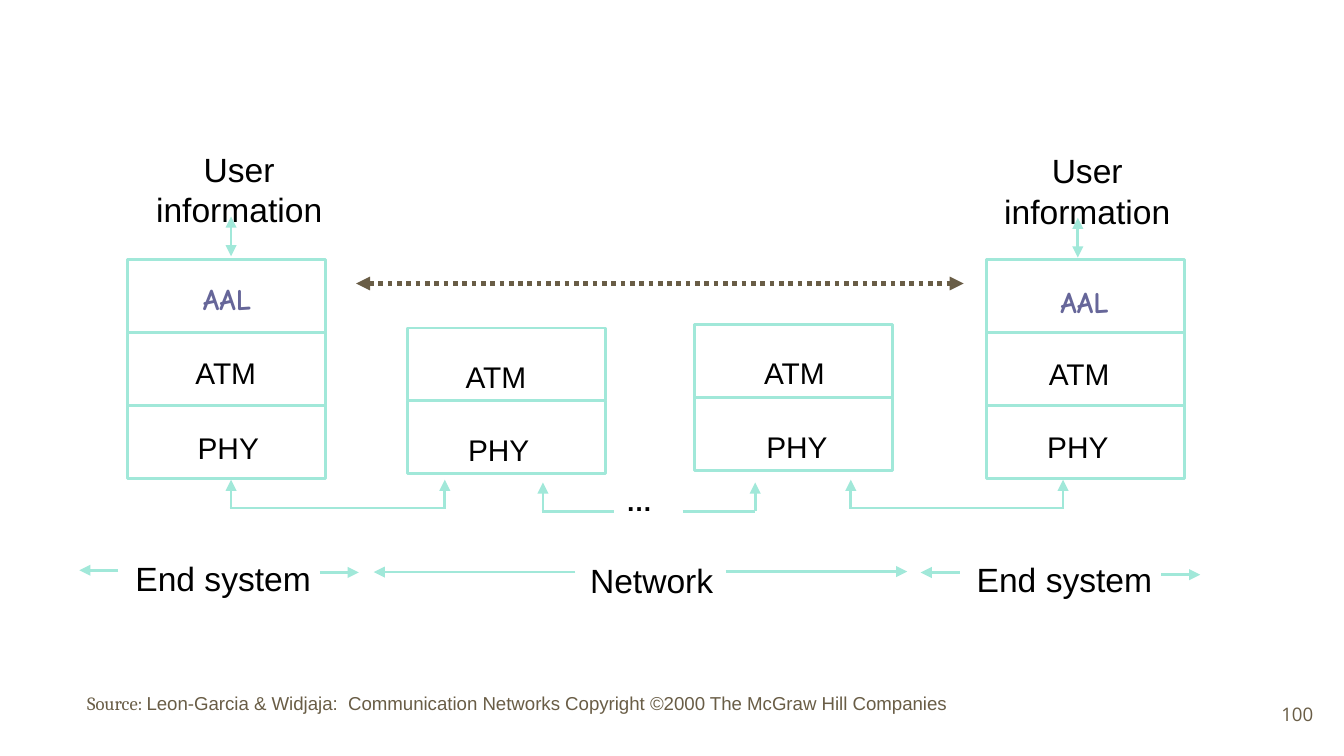
from pptx import Presentation
from pptx.dml.color import RGBColor
from pptx.enum.dml import MSO_LINE
from pptx.enum.shapes import MSO_CONNECTOR, MSO_SHAPE
from pptx.enum.text import MSO_ANCHOR, PP_ALIGN
from pptx.oxml.ns import qn
from pptx.util import Pt
from lxml import etree

STRAIGHT = MSO_CONNECTOR.STRAIGHT
RECTANGLE = MSO_SHAPE.RECTANGLE
DOTTED = MSO_LINE.ROUND_DOT
LEFT, CENTER, RIGHT = PP_ALIGN.LEFT, PP_ALIGN.CENTER, PP_ALIGN.RIGHT
TOP, MIDDLE = MSO_ANCHOR.TOP, MSO_ANCHOR.MIDDLE

MINT = RGBColor(0xA1, 0xE8, 0xD9)
BROWN = RGBColor(0x69, 0x5D, 0x46)
PURPLE = RGBColor(0x66, 0x66, 0x99)
BLACK = RGBColor(0, 0, 0)

prs = Presentation()
prs.slide_width, prs.slide_height = Pt(720), Pt(405)
slide = prs.slides.add_slide(prs.slide_layouts[6])


def add_text(text, left, top, width, height, size=18, font="Arial", color=BLACK,
             bold=False, align=CENTER, anchor=TOP, wrap=True):
    box = slide.shapes.add_textbox(Pt(left), Pt(top), Pt(width), Pt(height))
    frame = box.text_frame
    frame.word_wrap = wrap
    frame.vertical_anchor = anchor
    paragraph = frame.paragraphs[0]
    paragraph.alignment = align
    run = paragraph.add_run()
    run.text = text
    run.font.size = Pt(size)
    run.font.name = font
    run.font.bold = bold
    run.font.color.rgb = color
    return paragraph


def add_line(x1, y1, x2, y2, color=MINT, width=1.5, ends=(), dash=None):
    connector = slide.shapes.add_connector(STRAIGHT, Pt(x1), Pt(y1), Pt(x2), Pt(y2))
    connector.line.color.rgb = color
    connector.line.width = Pt(width)
    if dash:
        connector.line.dash_style = dash
    for end in ends:
        etree.SubElement(connector.line._ln, qn(f"a:{end}"), type="triangle")
    etree.SubElement(connector._element.spPr, qn("a:effectLst"))


TO_END = ("tailEnd",)
BOTH_ENDS = ("headEnd", "tailEnd")

LAYER_WIDTH, LAYER_HEIGHT = 106, 39.1
protocol_stacks = [
    (68.4, 139, [("AAL", 97.9, 146.9), ("ATM", 97.2, 186.5), ("PHY", 98.6, 226.8)]),
    (218.2, 175.7, [("ATM", 241.9, 188.6), ("PHY", 243.4, 227.5)]),
    (372.2, 173.7, [("ATM", 401.8, 186.5), ("PHY", 403.2, 226.1)]),
    (528.5, 139, [("AAL", 557.3, 148.3), ("ATM", 554.4, 187.2), ("PHY", 553.7, 226.1)]),
]
for stack_left, stack_top, layers in protocol_stacks:
    for row, (layer, label_left, label_top) in enumerate(layers):
        cell = slide.shapes.add_shape(
            RECTANGLE, Pt(stack_left), Pt(stack_top + row * LAYER_HEIGHT),
            Pt(LAYER_WIDTH), Pt(LAYER_HEIGHT))
        cell.shadow.inherit = False
        cell.fill.background()
        cell.line.color.rgb = MINT
        cell.line.width = Pt(1.5)
        adaptation = layer == "AAL"
        add_text(layer, label_left, label_top, 47.5, 26.6, size=16, wrap=False,
                 font="Comic Neue" if adaptation else "Arial",
                 color=PURPLE if adaptation else BLACK, bold=adaptation)

for user_left, user_top, arrow_x in [(68.4, 76.3, 123.8), (522.7, 77, 577.4)]:
    add_text("User information", user_left, user_top, 119.5, 50.4)
    add_line(arrow_x, user_top + 39.7, arrow_x, user_top + 61, ends=BOTH_ENDS)

add_line(190.8, 151.9, 516.2, 151.9, color=BROWN, width=2.5, ends=BOTH_ENDS, dash=DOTTED)

for link_x, link_tip, link_bottom in [(123.8, 257, 272.5), (238.3, 257, 272.5),
                                      (290.9, 258.5, 273.9), (404.6, 258.5, 273.9),
                                      (455.8, 257, 272.5), (569.5, 257, 272.5)]:
    add_line(link_x, link_bottom, link_x, link_tip, ends=TO_END)
for link_start, link_end, link_y in [(123.1, 238.3, 272.2), (290.2, 329, 273.9),
                                     (365.8, 404.6, 273.9), (455, 569.5, 272.2)]:
    add_line(link_start, link_y, link_end, link_y)
add_text("…", 328.3, 256.3, 36, 24.5, size=14, bold=True, align=LEFT)

for region, region_left, region_top in [("End system", 59.8, 295.2), ("Network", 289.4, 296.6),
                                        ("End system", 510.5, 295.9)]:
    add_text(region, region_left, region_top, 119.5, 28.8)
for span_start, span_tip, span_y in [(63.4, 42.5, 305.5), (171.4, 192.2, 306.7),
                                     (308.2, 200.2, 306.5), (388.8, 486, 306.2),
                                     (514.1, 493.2, 306.7), (622.1, 643, 307.9)]:
    add_line(span_start, span_y, span_tip, span_y, ends=TO_END)

source_line = add_text("Source: ", 39.6, 367.2, 638.6, 31.7, size=10, font="Cambria",
                       color=BROWN, align=LEFT)
citation = source_line.add_run()
citation.text = "Leon-Garcia & Widjaja:  Communication Networks Copyright ©2000 The McGraw Hill Companies"
citation.font.size = Pt(10)
citation.font.name = "Arial"
citation.font.color.rgb = BROWN

add_text("100", 667.4, 367.2, 43.2, 31, size=10, font="Open Sans", color=BROWN,
         align=RIGHT, anchor=MIDDLE)

prs.save("out.pptx")
